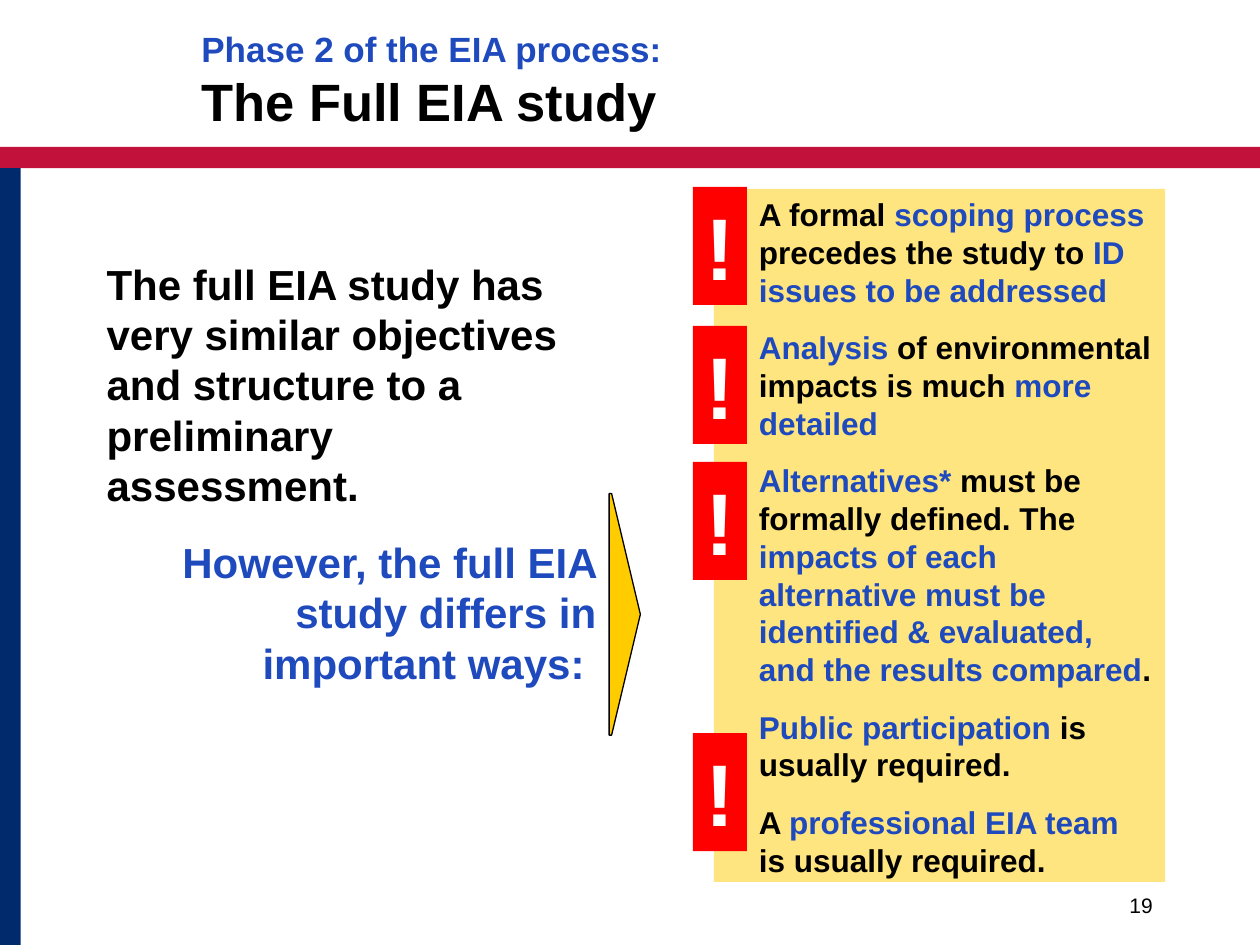
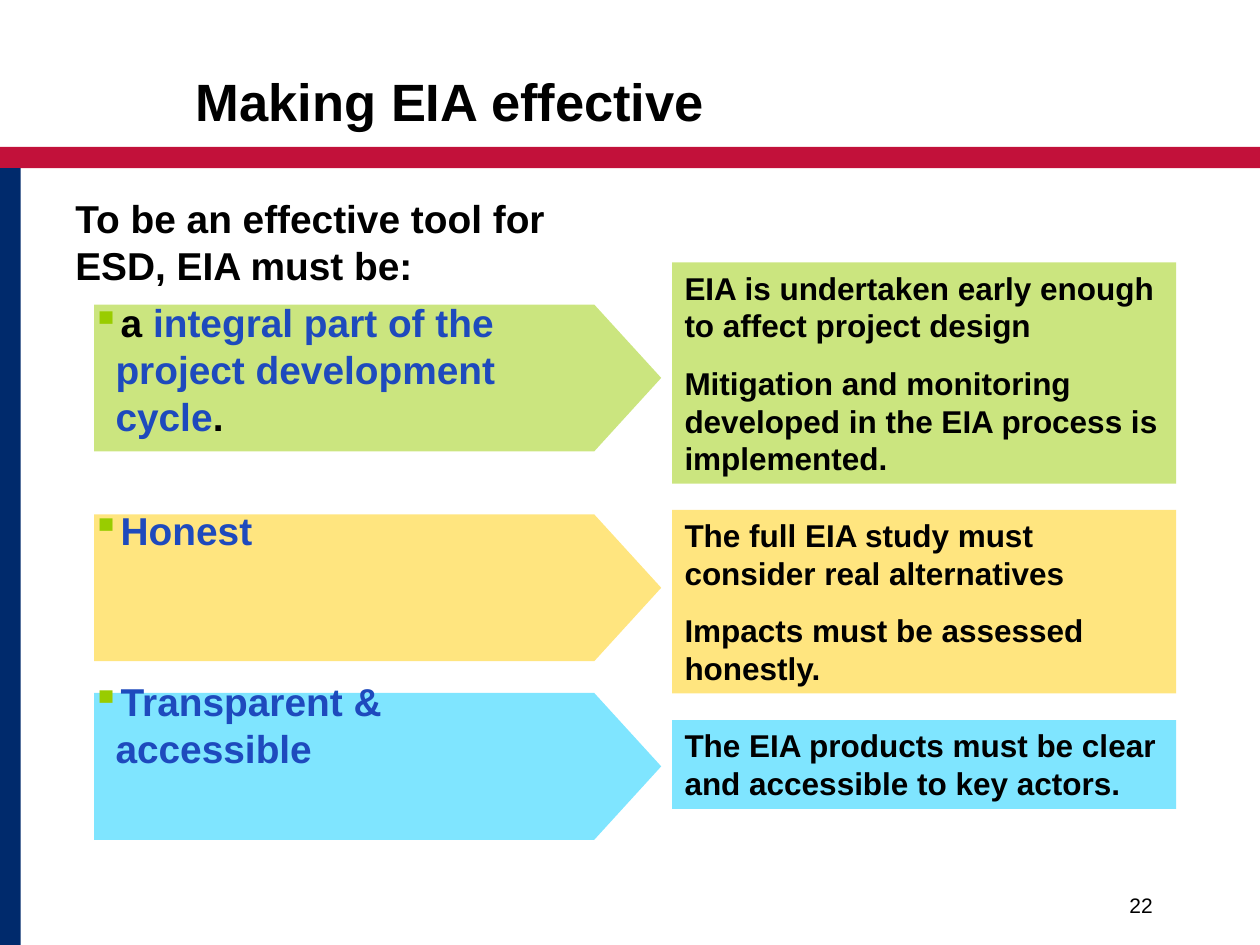
from lxml.etree import SubElement as Sub
from pptx import Presentation
from pptx.dml.color import RGBColor as RGB
from pptx.enum.shapes import MSO_SHAPE as Shape
from pptx.enum.text import MSO_ANCHOR as Anchor, PP_ALIGN as Align
from pptx.oxml.ns import qn
from pptx.util import Cm, Pt

INK, BLUE, WHITE = "000000", "1E4ABD", "FFFFFF"
CRIMSON, NAVY, RED = "C2113A", "002A6C", "FF0000"
GOLD, LIME, SKY = "FFCC00", "99CC00", "00CCFF"


def tint(name):
    return RGB.from_string(name)


class Deck:
    """Holds the shared style and the slide being filled."""

    font = "Arial"
    wide, high = 25.4, 19.05

    def __init__(self):
        self.prs = Presentation()
        self.prs.slide_width = Cm(self.wide)
        self.prs.slide_height = Cm(self.high)

    def page(self, number):
        """Start a slide with its bands and page number."""
        blank = self.prs.slide_layouts[6]
        self.shapes = self.prs.slides.add_slide(blank).shapes
        self.rect(0, 2.96, self.wide, 0.43, CRIMSON)
        self.rect(0, 3.39, 0.42, self.high - 3.39, NAVY)
        frame = self.frame(18.2, 17.36, 5.29, 1.27)
        frame.vertical_anchor = Anchor.BOTTOM
        self.para(frame, str(number), 12, bold=False, align=Align.RIGHT)

    def paint(self, shape, fill, alpha=None):
        shape.shadow.inherit = False
        shape.fill.solid()
        shape.fill.fore_color.rgb = tint(fill)
        shape.line.fill.background()
        if alpha:
            color = shape.fill._xPr.find(qn("a:solidFill"))[0]
            Sub(color, qn("a:alpha"), val=str(alpha * 1000))
        return shape

    def rect(self, x, y, w, h, fill, alpha=None):
        shape = self.shapes.add_shape(Shape.RECTANGLE, Cm(x), Cm(y), Cm(w), Cm(h))
        self.paint(shape, fill, alpha)
        frame = shape.text_frame
        frame.vertical_anchor = Anchor.TOP
        frame.word_wrap = True
        return frame

    def arrow(self, x, y, w, h, neck, fill, alpha=None):
        """Draw a block that tapers to a point right of the neck."""
        dots = [(x + neck, y), (x + w, y + h / 2), (x + neck, y + h), (x, y + h)]
        pen = self.shapes.build_freeform(Cm(x), Cm(y))
        pen.add_line_segments([(Cm(a), Cm(b)) for a, b in dots])
        return self.paint(pen.convert_to_shape(), fill, alpha)

    def frame(self, x, y, w, h):
        frame = self.shapes.add_textbox(Cm(x), Cm(y), Cm(w), Cm(h)).text_frame
        frame.word_wrap = True
        return frame

    def para(self, frame, text, size, color=INK, bold=True, align=Align.LEFT,
             gap=0, indent=0, hang=0, bullet=None):
        """Add a paragraph; every second part between bars is blue."""
        para = frame.paragraphs[0]
        if para.runs:
            para = frame.add_paragraph()
            para.space_before = Pt(gap)
        para.alignment = align
        props = para._p.get_or_add_pPr()
        props.set("marL", str(Cm(indent)))
        props.set("indent", str(-Cm(hang)))
        if bullet:
            Sub(Sub(props, qn("a:buClr")), qn("a:srgbClr"), val=bullet)
            Sub(props, qn("a:buChar"), char="▪")
        font = para.font
        font.name, font.size, font.bold = self.font, Pt(size), bold
        font.color.rgb = tint(color)
        for spot, part in enumerate(text.split("|")):
            if part:
                run = para.add_run()
                run.text = part
                if spot % 2:
                    run.font.color.rgb = tint(BLUE)
        return para

    def title(self, x, y, text, lead=None):
        frame = self.frame(x, y, 21.59, 1.69)
        if not lead:
            self.para(frame, text, 30)
            return
        para = self.para(frame, lead, 20, BLUE)
        para.add_line_break()
        run = para.add_run()
        run.text = text
        run.font.size = Pt(30)
        run.font.color.rgb = tint(INK)

    def panel(self, x, y, w, h, fill, texts, indent=0):
        frame = self.rect(x, y, w, h, fill, 50)
        for text in texts:
            self.para(frame, text, 18, gap=11.2, indent=indent)

    def alert(self, y):
        frame = self.rect(13.97, y, 1.09, 2.38, RED)
        frame.word_wrap = False
        self.para(frame, "!", 50, WHITE)


def study(deck):
    deck.page(19)
    deck.title(3.81, 0.42, "The Full EIA study", "Phase 2 of the EIA process:")
    body = deck.frame(1.9, 5.08, 10.37, 10.8)
    deck.para(body, "The full EIA study has very similar objectives and "
              "structure to a preliminary assessment.", 24)
    deck.para(body, "However, the full EIA study differs in important ways: ",
              24, BLUE, align=Align.RIGHT, gap=15)
    wedge = deck.arrow(12.28, 9.95, 0.63, 4.87, 0.05, GOLD)
    wedge.line.color.rgb = tint(INK)
    wedge.line.width = Pt(0.75)
    deck.panel(14.39, 3.81, 9.1, 13.97, GOLD, [
        "A formal |scoping process |precedes the study to| ID issues to be addressed",
        "|Analysis| of environmental impacts is much |more detailed",
        "|Alternatives*| must be formally defined. The |impacts of each alternative "
        "must be identified & evaluated, and the results compared|.",
        "|Public participation| is usually required.",
        "A |professional EIA team| is usually required.",
    ], indent=0.66)
    for y in (3.77, 6.57, 9.31, 14.78):
        deck.alert(y)


def effect(deck):
    deck.page(22)
    deck.title(3.7, 1.27, "Making EIA effective")
    rows = [
        (LIME, 6.14, 5.29, 4.46, [
            "EIA is undertaken early enough to affect project design",
            "Mitigation and monitoring developed in the EIA process is implemented."]),
        (GOLD, 10.37, 10.28, 3.7, [
            "The full EIA study must consider real alternatives",
            "Impacts must be assessed honestly."]),
        (SKY, 13.97, 14.52, 1.79, [
            "The EIA products must be clear and accessible to key actors."]),
    ]
    for fill, tip, top, high, texts in rows:
        deck.arrow(1.9, tip, 11.43, 2.96, 10.08, fill, 50)
        deck.panel(13.55, top, 10.16, high, fill, texts)
    body = deck.frame(1.27, 3.81, 10.8, 10.8)
    deck.para(body, "To be an effective tool for ESD, EIA must be:", 22.2)
    for text, color, gap in [
        ("a |integral part of the project development cycle|.", INK, 6),
        ("Honest", BLUE, 38.6),
        ("Transparent & accessible", BLUE, 71.2),
    ]:
        deck.para(body, text, 22.2, color, gap=gap, indent=0.81, hang=0.48, bullet=LIME)


def main():
    deck = Deck()
    study(deck)
    effect(deck)
    deck.prs.save("out.pptx")


if __name__ == "__main__":
    main()
